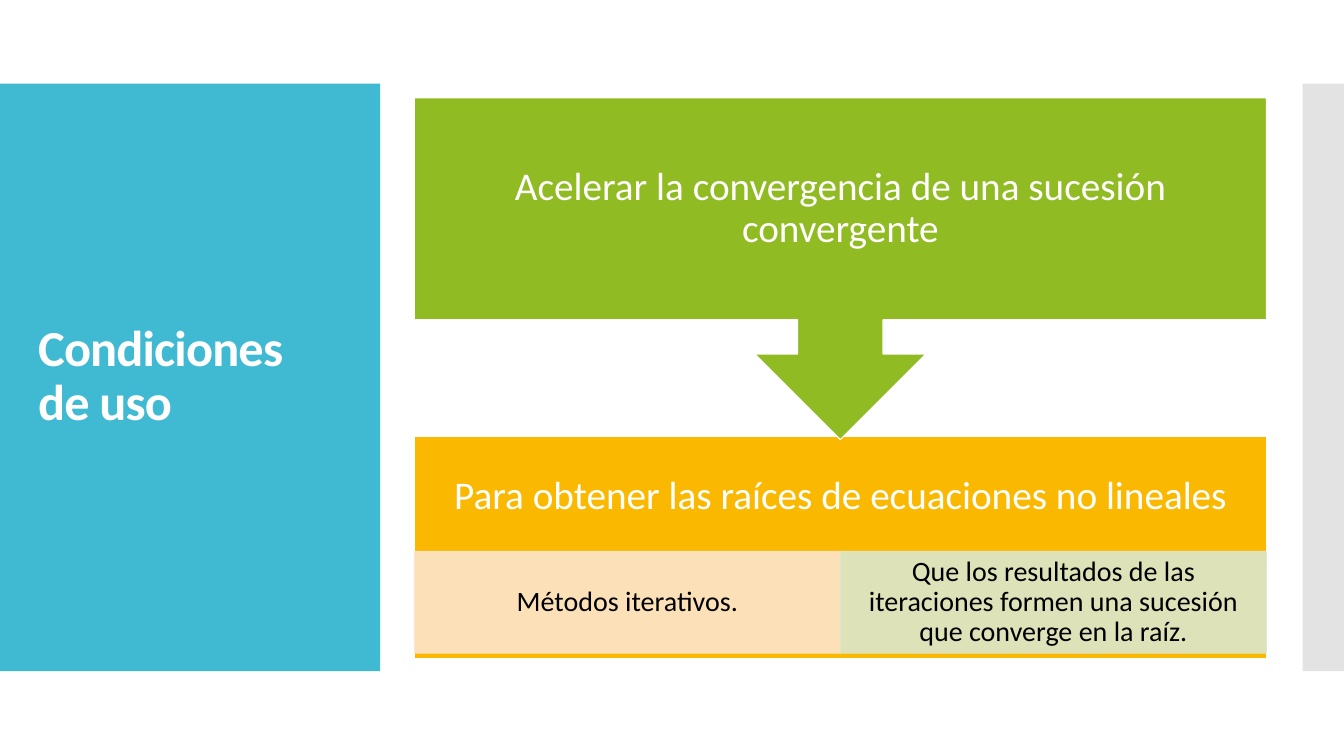
from lxml import etree
from pptx import Presentation
from pptx.dml.color import RGBColor
from pptx.enum import shapes, text
from pptx.oxml.ns import qn
from pptx.util import Inches, Pt

RECT = shapes.MSO_SHAPE.RECTANGLE
CALLOUT = shapes.MSO_SHAPE.DOWN_ARROW_CALLOUT
WHITE = "FFFFFF"


def paint(color_format, color, opacity=100):
    """Fill with a hex colour at the given opacity in percent."""
    color_format.solid()
    color_format.fore_color.rgb = RGBColor.from_string(color)
    if opacity < 100:
        solid = color_format._xPr.find(qn("a:solidFill"))
        etree.SubElement(solid[0], qn("a:alpha"), val=str(opacity * 1000))


def add_block(page, box, fill, line=None, kind=RECT, opacity=100):
    shape = page.shapes.add_shape(kind, *map(Inches, box))
    shape.shadow.inherit = False
    paint(shape.fill, fill, opacity)
    if line:
        shape.line.width = Pt(0.85)
        paint(shape.line.fill, line, opacity)
    else:
        shape.line.fill.background()
    return shape


def write(shape, words, size, color, insets, align=text.PP_ALIGN.CENTER, bold=False):
    """Set middle-anchored text; insets are left, top, right, bottom."""
    frame = shape.text_frame
    frame.word_wrap = True
    frame.vertical_anchor = text.MSO_ANCHOR.MIDDLE
    for side, inset in zip(("left", "top", "right", "bottom"), insets):
        setattr(frame, f"margin_{side}", Inches(inset))
    para = frame.paragraphs[0]
    para.alignment, para.line_spacing = align, 0.9
    span = para.add_run()
    span.text = words
    for name, value in {"name": "Calibri", "size": Pt(size), "bold": bold}.items():
        setattr(span.font, name, value)
    span.font.color.rgb = RGBColor.from_string(color)
    return span


def add_title_band(page, left, top, width, height):
    add_block(page, (left, top, width, height), "40BAD2")
    title = page.shapes.add_textbox(
        *map(Inches, (left + 0.28, top + 0.4, width - 0.55, height - 0.8)))
    span = write(title, "Condiciones de uso", 36, WHITE, (0.1, 0.05, 0.1, 0.05),
                 text.PP_ALIGN.LEFT, True)
    span.font._element.set("spc", "-60")


def add_process(page, left, top, width, height):
    """Place the result block with its two conditions, then the arrow callout."""
    block_height, header_height, condition_height = 2.2, 1.14, 1.01
    result_top = top + height - block_height
    result = add_block(page, (left, result_top, width, block_height), "FAB900", WHITE)
    write(result, "Para obtener las raíces de ecuaciones no lineales", 28, WHITE,
          (0.22, 0.22, 0.22, 0.22 + condition_height))

    conditions = (
        ("Métodos iterativos.", "FDE6CC"),
        ("Que los resultados de las iteraciones formen una sucesión "
         "que converge en la raíz.", "DCE7CD"),
    )
    half = width / len(conditions)
    for column, (words, color) in enumerate(conditions):
        box = (left + column * half, result_top + header_height, half, condition_height)
        condition = add_block(page, box, color, color, opacity=90)
        write(condition, words, 20, "000000", (0.16, 0.03, 0.16, 0.03))

    callout = add_block(page, (left, top, width, 3.39), "90BB23", WHITE, CALLOUT)
    write(callout, "Acelerar la convergencia de una sucesión convergente", 28, WHITE,
          (0.22,) * 4)


def main():
    deck = Presentation()
    deck.slide_width, deck.slide_height = Inches(13.33), Inches(7.5)
    page = deck.slides.add_slide(deck.slide_layouts[6])
    add_title_band(page, 0, 0.83, 3.77, 5.83)
    add_block(page, (12.92, 0.83, 0.41, 5.83), "C8C8C8", opacity=50)
    add_process(page, 4.11, 0.97, 8.45, 5.56)
    deck.save("out.pptx")


if __name__ == "__main__":
    main()
